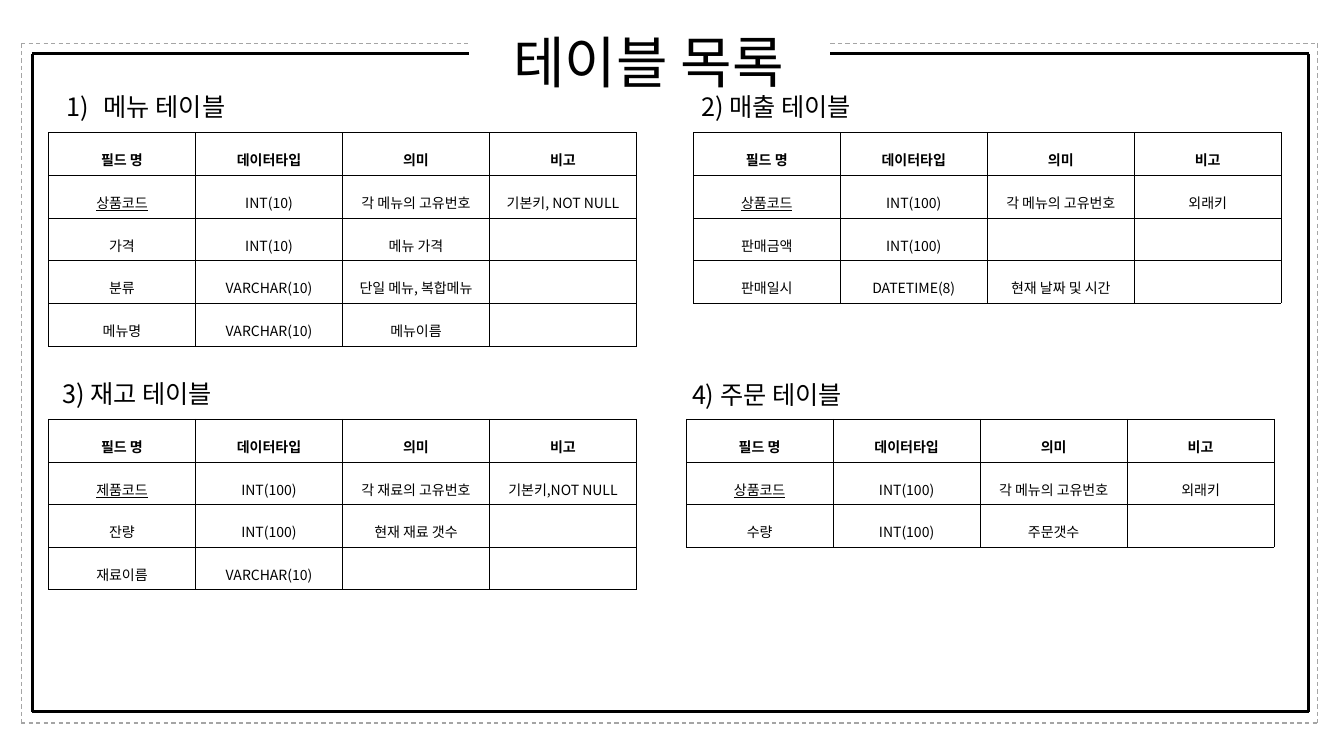
import lxml.etree
import pptx
import pptx.dml.color
import pptx.enum.dml
import pptx.enum.shapes
import pptx.enum.text
import pptx.oxml.ns
import pptx.util
from pptx.util import Cm

BLACK = pptx.dml.color.RGBColor(0x00, 0x00, 0x00)
GREY = pptx.dml.color.RGBColor(0xA5, 0xA5, 0xA5)
KOREAN_FONT = "Noto Sans CJK KR"
LATIN_FONT = "Arial"
COLUMN_WIDTH, ROW_HEIGHT = 3.7, 1.05
TITLE_GAP = (11.81, 20.9)
FIELD_HEADER = ("필드 명", "데이터타입", "의미", "비고")

MENU_FIELDS = [
    ("상품코드", "INT(10)", "각 메뉴의 고유번호", ("기본키", ", NOT NULL")),
    ("가격", "INT(10)", "메뉴 가격", ""),
    ("분류", "VARCHAR(10)", ("단일 메뉴", ", ", "복합메뉴"), ""),
    ("메뉴명", "VARCHAR(10)", "메뉴이름", ""),
]
SALES_FIELDS = [
    ("상품코드", "INT(100)", "각 메뉴의 고유번호", "외래키"),
    ("판매금액", "INT(100)", "", ""),
    ("판매일시", "DATETIME(8)", "현재 날짜 및 시간", ""),
]
STOCK_FIELDS = [
    ("제품코드", "INT(100)", "각 재료의 고유번호", ("기본키", ",NOT NULL")),
    ("잔량", "INT(100)", "현재 재료 갯수", ""),
    ("재료이름", "VARCHAR(10)", "", ""),
]
ORDER_FIELDS = [
    ("상품코드", "INT(100)", "각 메뉴의 고유번호", "외래키"),
    ("수량", "INT(100)", "주문갯수", ""),
]


def add_element(parent, tag, **attributes):
    """Append a DrawingML element to the parent and return it."""
    return lxml.etree.SubElement(parent, pptx.oxml.ns.qn(tag), attributes)


def style_run(run, size, font_name):
    """Give a run its size, colour and fonts."""
    run.font.size = pptx.util.Pt(size)
    run.font.color.rgb = BLACK
    run.font.name = font_name
    add_element(run.font._element, "a:ea", typeface=KOREAN_FONT)


def format_label(label, size, anchor):
    """Format a one-line label inside its fixed box."""
    frame = label.text_frame
    frame.word_wrap = True
    frame.auto_size = pptx.enum.text.MSO_AUTO_SIZE.NONE
    frame.vertical_anchor = anchor
    frame.paragraphs[0].alignment = pptx.enum.text.PP_ALIGN.LEFT
    style_run(frame.paragraphs[0].runs[0], size, KOREAN_FONT)


def add_frame(slide, left, top, right, bottom, color, weight, dash=None):
    """Draw a border around the box, open at the top behind the title."""
    gap_left, gap_right = TITLE_GAP
    sides = slide.shapes.add_group_shape()
    for ends in (
        (left, top, gap_left, top),
        (gap_right, top, right, top),
        (left, top, left, bottom),
        (right, top, right, bottom),
        (left, bottom, right, bottom),
    ):
        side = sides.shapes.add_connector(
            pptx.enum.shapes.MSO_CONNECTOR.STRAIGHT, *map(Cm, ends))
        side.line.color.rgb = color
        side.line.width = pptx.util.Pt(weight)
        side.line.dash_style = dash
        add_element(side._element.spPr, "a:effectLst")


def add_title(slide, left, top, width, height):
    """Place the slide title in its box."""
    title = slide.shapes.title
    title.left, title.top, title.width, title.height = map(
        Cm, (left, top, width, height))
    title.text_frame.text = "테이블 목록"
    format_label(title, 40, pptx.enum.text.MSO_ANCHOR.TOP)


def add_heading(slide, left, top, text, numbered):
    """Write a section heading, numbered automatically if asked."""
    heading = slide.shapes.add_textbox(Cm(left), Cm(top), Cm(5), Cm(1.02))
    heading.text_frame.text = text
    if numbered:
        indent = Cm(0.94)
        properties = heading.text_frame.paragraphs[0]._p.get_or_add_pPr()
        properties.set("marL", str(indent))
        properties.set("indent", str(-indent))
        add_element(properties, "a:buFont", typeface=KOREAN_FONT)
        add_element(properties, "a:buAutoNum", type="arabicParenR")
    format_label(heading, 18, pptx.enum.text.MSO_ANCHOR.MIDDLE)


def border_cell(cell):
    """Put a thin black line on all four sides of a cell."""
    properties = cell._tc.get_or_add_tcPr()
    for tag in ("a:lnL", "a:lnR", "a:lnT", "a:lnB"):
        edge = add_element(properties, tag, w=str(pptx.util.Pt(0.11)))
        fill = add_element(edge, "a:solidFill")
        add_element(fill, "a:srgbClr", val=str(BLACK))


def fill_cell(cell, content, bold, underline):
    """Format a cell and write its text, one run for each script."""
    border_cell(cell)
    cell.fill.background()
    cell.vertical_anchor = pptx.enum.text.MSO_ANCHOR.MIDDLE
    cell.margin_left = cell.margin_right = Cm(0.18)
    cell.margin_top = cell.margin_bottom = Cm(0.13)
    if not content:
        return
    paragraph = cell.text_frame.paragraphs[0]
    paragraph.alignment = pptx.enum.text.PP_ALIGN.CENTER
    paragraph.line_spacing = 1.6
    for text in (content,) if isinstance(content, str) else content:
        run = paragraph.add_run()
        run.text = text
        style_run(run, 10, KOREAN_FONT if text.isascii() else LATIN_FONT)
        run.font.bold = bold
        run.font.underline = underline


def add_section(slide, left, top, heading, offset, fields, numbered=False):
    """Place a field table and the heading above it."""
    rows = [FIELD_HEADER, *fields]
    columns = len(FIELD_HEADER)
    table = slide.shapes.add_table(
        len(rows), columns, Cm(left), Cm(top),
        Cm(COLUMN_WIDTH * columns), Cm(ROW_HEIGHT * len(rows))).table
    table.first_row = table.horz_banding = False
    for row, contents in enumerate(rows):
        for column, content in enumerate(contents):
            fill_cell(table.cell(row, column), content,
                      bold=row == 0, underline=(row, column) == (1, 0))
    add_heading(slide, left + offset[0], top + offset[1], heading, numbered)


def main():
    """Build the slide and save it."""
    presentation = pptx.Presentation()
    presentation.slide_width, presentation.slide_height = Cm(33.83), Cm(19.02)
    slide = presentation.slides.add_slide(presentation.slide_layouts[5])
    add_frame(slide, 0.81, 1.35, 32.94, 17.91, BLACK, 2.27)
    add_frame(slide, 0.53, 1.09, 33.17, 18.19, GREY, 0.77,
              pptx.enum.dml.MSO_LINE.DASH)
    add_title(slide, 12.67, 0.56, 8, 1.96)
    upper, lower = 3.33, 10.54
    add_section(slide, 1.22, upper, "메뉴 테이블", (0.2, -1.17), MENU_FIELDS,
                numbered=True)
    add_section(slide, 17.45, upper, "2) 매출 테이블", (-0.05, -1.15), SALES_FIELDS)
    add_section(slide, 1.22, lower, "3) 재고 테이블", (0.1, -1.14), STOCK_FIELDS)
    add_section(slide, 17.27, lower, "4) 주문 테이블", (-0.1, -1.12), ORDER_FIELDS)
    presentation.save("out.pptx")


if __name__ == "__main__":
    main()
